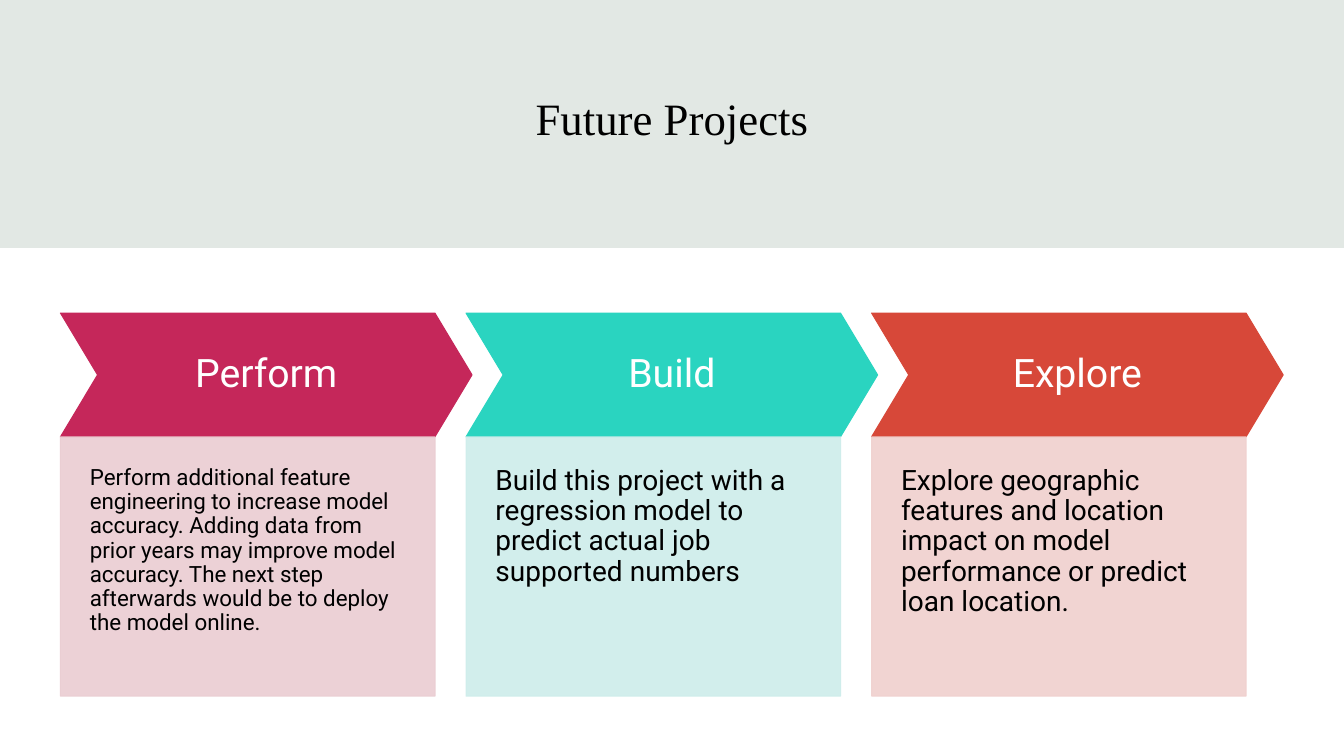
from lxml.etree import SubElement
from pptx import Presentation
from pptx.dml.color import RGBColor
from pptx.enum.shapes import MSO_SHAPE
from pptx.enum.text import MSO_ANCHOR, MSO_AUTO_SIZE, PP_ALIGN
from pptx.oxml.ns import qn
from pptx.util import Pt

SLIDE_WIDTH, SLIDE_HEIGHT = 960, 540
CHEVRON_HEIGHT = 88.4
CHEVRON_POINT = 26.4
COLUMN_STEP = 289.7
CHEVRON_WIDTH = 294

PROJECTS = [
    ("Perform", "C5275A", "EACDD2", 16,
     "Perform additional feature engineering to increase model accuracy. "
     "Adding data from prior years may improve model accuracy. "
     "The next step afterwards would be to deploy the model online."),
    ("Build", "2AD4C0", "CEEDEB", 20,
     "Build this project with a regression model to predict actual job supported numbers"),
    ("Explore", "D74839", "F0D0CE", 20,
     "Explore geographic features and location impact on model performance "
     "or predict loan location."),
]


def color(value):
    return RGBColor.from_string(value)


def set_attributes(target, values):
    for name, value in values.items():
        setattr(target, name, value)


def place(shape, box):
    names = ("left", "top", "width", "height")
    set_attributes(shape, {name: Pt(length) for name, length in zip(names, box)})


def write_text(shape, text, size, font_name, font_color, alignment, anchor, margins):
    frame = shape.text_frame
    sides = ("margin_left", "margin_top", "margin_right", "margin_bottom")
    set_attributes(frame, {
        "text": text,
        "word_wrap": True,
        "auto_size": MSO_AUTO_SIZE.NONE,
        "vertical_anchor": anchor,
        **{side: Pt(margin) for side, margin in zip(sides, margins)},
    })
    paragraph = frame.paragraphs[0]
    set_attributes(paragraph, {"alignment": alignment, "line_spacing": 0.9})
    font = paragraph.runs[0].font
    set_attributes(font, {"size": Pt(size), "name": font_name})
    font.color.rgb = color(font_color)


def add_panel(slide, kind, box, fill_color, opacity=100, outlined=True):
    shape = slide.shapes.add_shape(kind, *(Pt(length) for length in box))
    shape.shadow.inherit = False
    shape.fill.solid()
    shape.fill.fore_color.rgb = color(fill_color)
    if outlined:
        shape.line.width = Pt(0.75)
        shape.line.color.rgb = color(fill_color)
    else:
        shape.line.fill.background()
    if opacity < 100:
        for element in shape._element.spPr.iter(qn("a:srgbClr")):
            SubElement(element, qn("a:alpha"), val=str(opacity * 1000))
    return shape


def add_title(slide, box):
    title = slide.shapes.title
    place(title, box)
    write_text(title, "Future Projects", 32, "Times New Roman", "000000",
               PP_ALIGN.CENTER, MSO_ANCHOR.MIDDLE, (7.2, 3.6, 7.2, 3.6))


def add_project(slide, box, project):
    heading, accent, tint, size, description = project
    left, top, width, height = box
    chevron = add_panel(slide, MSO_SHAPE.CHEVRON, (left, top, width, CHEVRON_HEIGHT), accent)
    chevron.adjustments[0] = 0.3
    write_text(chevron, heading, 28, "Roboto", "FFFFFF",
               PP_ALIGN.CENTER, MSO_ANCHOR.MIDDLE, (10.8,) * 4)
    body_box = (left, top + CHEVRON_HEIGHT, width - CHEVRON_POINT, height - CHEVRON_HEIGHT)
    body = add_panel(slide, MSO_SHAPE.RECTANGLE, body_box, tint, opacity=90)
    write_text(body, description, size, "Roboto", "000000",
               PP_ALIGN.LEFT, MSO_ANCHOR.TOP, (21, 21, 21, 42))


def add_projects(slide, box):
    left, top, width, height = box
    add_panel(slide, MSO_SHAPE.RECTANGLE, box, "FFFFFF", outlined=False)
    for index, project in enumerate(PROJECTS):
        project_box = (left + 43.2 + index * COLUMN_STEP, top + 46.4, CHEVRON_WIDTH, 273.6)
        add_project(slide, project_box, project)


def main():
    presentation = Presentation()
    set_attributes(presentation, {"slide_width": Pt(SLIDE_WIDTH), "slide_height": Pt(SLIDE_HEIGHT)})
    slide = presentation.slides.add_slide(presentation.slide_layouts[5])
    background = slide.background.fill
    background.solid()
    background.fore_color.rgb = color("E2E8E4")
    add_title(slide, (85, 42.5, 790, 88.5))
    add_projects(slide, (0, 177.2, SLIDE_WIDTH, SLIDE_HEIGHT - 177.2))
    presentation.save("out.pptx")


if __name__ == "__main__":
    main()
